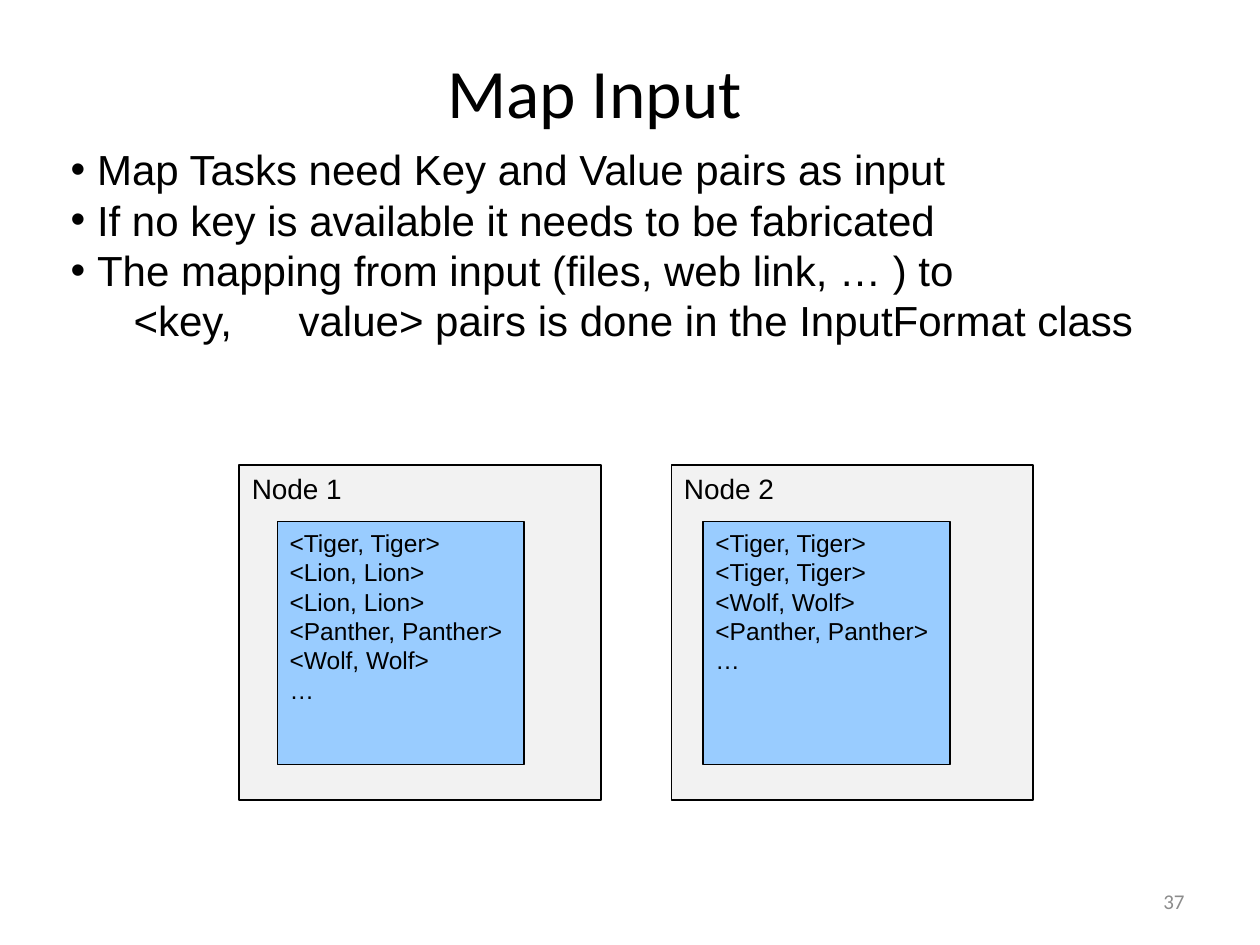
from lxml.etree import SubElement
from pptx import Presentation
from pptx.dml.color import RGBColor
from pptx.enum.shapes import MSO_SHAPE as Shape
from pptx.enum.text import MSO_ANCHOR as Anchor, PP_ALIGN as Align
from pptx.oxml.ns import qn
from pptx.util import Inches, Pt

WIDTH, HEIGHT = 10, 7.5
COLORS = {"ink": "000000", "node": "F2F2F2", "pairs": "99CCFF", "number": "8C8C8C"}

POINTS = [
    "Map Tasks need Key and Value pairs as input",
    "If no key is available it needs to be fabricated",
    "The mapping from input (files, web link, … ) to",
]
CONTINUATION = "<key, \tvalue> pairs is done in the InputFormat class"

NODE_TOP, NODE_SIZE = 3.69, (2.87, 2.66)
PAIRS_TOP, PAIRS_SIZE = 4.14, (1.96, 1.93)
# name, left edge of the node, left edge of its pairs, animals
NODES = [
    ("Node 1", 1.9, 2.2, ["Tiger", "Lion", "Lion", "Panther", "Wolf"]),
    ("Node 2", 5.33, 5.58, ["Tiger", "Tiger", "Wolf", "Panther"]),
]


def color(name):
    return RGBColor.from_string(COLORS[name])


def write(frame, lines, size, font="Arial", ink="ink", align=Align.LEFT):
    """Fill a text frame with one paragraph per line, all in one style."""
    frame.text = "\n".join(lines)
    for paragraph in frame.paragraphs:
        paragraph.alignment = align
        paragraph.font.size = Pt(size)
        paragraph.font.name = font
        paragraph.font.color.rgb = color(ink)


def add_text(slide, box, anchor=Anchor.TOP):
    frame = slide.shapes.add_textbox(*map(Inches, box)).text_frame
    frame.word_wrap = True
    frame.vertical_anchor = anchor
    return frame


def indent(paragraph, margin, first_line, bullet=None, tab=None):
    """Set indents in inches, and a bullet character or a tab stop if given."""
    props = paragraph._p.get_or_add_pPr()
    props.set("marL", str(Inches(margin)))
    props.set("indent", str(Inches(first_line)))
    if bullet:
        SubElement(props, qn("a:buFont"), typeface="Arial")
        SubElement(props, qn("a:buChar"), char=bullet)
    if tab:
        stops = SubElement(props, qn("a:tabLst"))
        SubElement(stops, qn("a:tab"), pos=str(Inches(tab)), algn="l")


def add_points(slide):
    frame = add_text(slide, (0.47, 1.1, 9.05, 1.75))
    frame.margin_left = frame.margin_right = Inches(0.09)
    frame.margin_top = frame.margin_bottom = Inches(0.04)
    frame.text = "\n".join(POINTS + [CONTINUATION])
    *points, continuation = frame.paragraphs
    for point in points:
        indent(point, 0.21, -0.21, bullet="•")
    continuation.level = 1
    indent(continuation, 0.81, -0.31, tab=1.71)
    for paragraph in frame.paragraphs:
        paragraph.font.size = Pt(24)
        paragraph.font.name = "Arial"
        paragraph.font.color.rgb = color("ink")


def add_panel(slide, corner, size, fill, line_width, lines, text_size):
    panel = slide.shapes.add_shape(Shape.RECTANGLE, *map(Inches, corner + size))
    panel.shadow.inherit = False
    panel.fill.solid()
    panel.fill.fore_color.rgb = color(fill)
    panel.line.color.rgb = color("ink")
    panel.line.width = Pt(line_width)
    frame = panel.text_frame
    frame.word_wrap = False
    frame.vertical_anchor = Anchor.TOP
    write(frame, lines, text_size)


def add_node(slide, name, node_left, pairs_left, animals):
    pairs = [f"<{animal}, {animal}>" for animal in animals] + ["…"]
    add_panel(slide, (node_left, NODE_TOP), NODE_SIZE, "node", 1, [name], 16)
    add_panel(slide, (pairs_left, PAIRS_TOP), PAIRS_SIZE, "pairs", 0.75, pairs, 14)


def main():
    deck = Presentation()
    deck.slide_width, deck.slide_height = Inches(WIDTH), Inches(HEIGHT)
    slide = deck.slides.add_slide(deck.slide_layouts[6])

    title = add_text(slide, (0.18, 0.53, 9.08, 0.57), Anchor.BOTTOM)
    write(title, ["Map Input"], 39.6, "Calibri", align=Align.CENTER)
    add_points(slide)
    for node in NODES:
        add_node(slide, *node)
    number = add_text(slide, (7.17, 6.95, 2.33, 0.4), Anchor.MIDDLE)
    write(number, ["37"], 12, "Calibri", "number", Align.RIGHT)

    deck.save("out.pptx")


if __name__ == "__main__":
    main()
